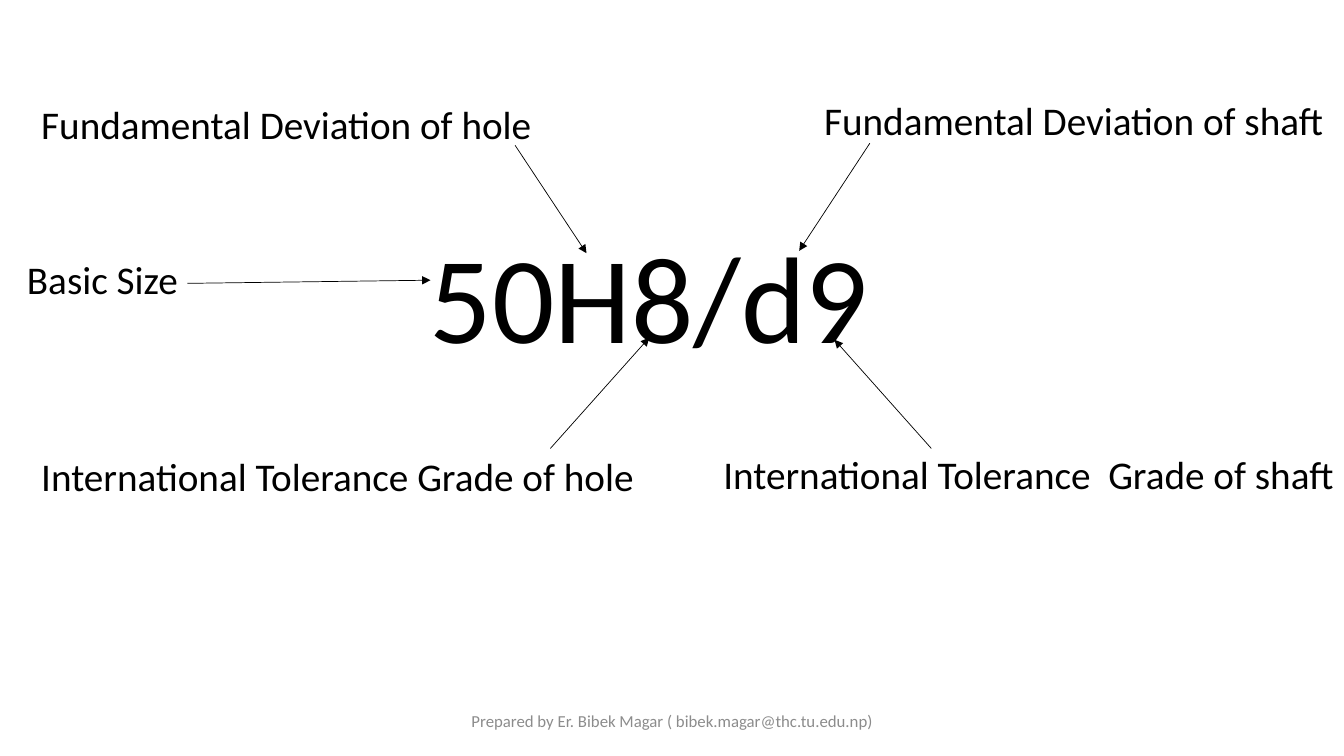
from lxml.etree import SubElement
from pptx import Presentation
from pptx.dml.color import RGBColor
from pptx.enum.shapes import MSO_CONNECTOR
from pptx.enum.text import MSO_ANCHOR, MSO_AUTO_SIZE, PP_ALIGN
from pptx.oxml.ns import qn
from pptx.util import Cm, Pt

BLACK = RGBColor(0x00, 0x00, 0x00)
GREY = RGBColor(0x8C, 0x8C, 0x8C)

deck = Presentation()
deck.slide_width = Cm(33.87)
deck.slide_height = Cm(19.05)
slide = deck.slides.add_slide(deck.slide_layouts[6])


def add_text(text, left, top, width, height, size, color=BLACK, align=PP_ALIGN.LEFT):
    box = slide.shapes.add_textbox(Cm(left), Cm(top), Cm(width), Cm(height))
    frame = box.text_frame
    frame.word_wrap = True
    frame.text = text
    line = frame.paragraphs[0]
    line.alignment = align
    font = line.runs[0].font
    font.name = "Calibri"
    font.size = Pt(size)
    font.color.rgb = color
    return frame


foot = add_text("Prepared by Er. Bibek Magar ( bibek.magar@thc.tu.edu.np)",
                11.23, 17.65, 11.43, 1.02, 12, GREY, PP_ALIGN.CENTER)
foot.vertical_anchor = MSO_ANCHOR.MIDDLE

fit = add_text("50H8/d9", 6.3, 5.44, 20.12, 4.01, 88, align=PP_ALIGN.CENTER)
fit.auto_size = MSO_AUTO_SIZE.SHAPE_TO_FIT_TEXT

arrows = [
    (4.72, 7.14, 10.85, 7.06),
    (12.98, 3.66, 14.78, 6.38),
    (21.92, 3.61, 20.14, 6.32),
    (13.87, 11.3, 16.36, 8.51),
    (23.47, 11.3, 21.03, 8.56),
]
for ends in arrows:
    arrow = slide.shapes.add_connector(MSO_CONNECTOR.STRAIGHT, *map(Cm, ends))
    arrow.line.color.rgb = BLACK
    arrow.line.width = Pt(0.5)
    SubElement(arrow.line._get_or_add_ln(), qn("a:tailEnd"), type="triangle")
    SubElement(arrow._element.spPr, qn("a:effectLst"))

labels = [
    ("Basic Size", 0.43, 6.32, 5.08),
    ("Fundamental Deviation of hole", 0.79, 2.41, 13.77),
    ("International Tolerance Grade of hole", 0.79, 11.28, 16.84),
    ("International Tolerance  Grade of shaft", 17.98, 11.23, 17.65),
    ("Fundamental Deviation of shaft", 20.52, 2.29, 13.54),
]
for text, left, top, width in labels:
    label = add_text(text, left, top, width, 1.45, 28)
    label.auto_size = MSO_AUTO_SIZE.SHAPE_TO_FIT_TEXT

deck.save("out.pptx")
